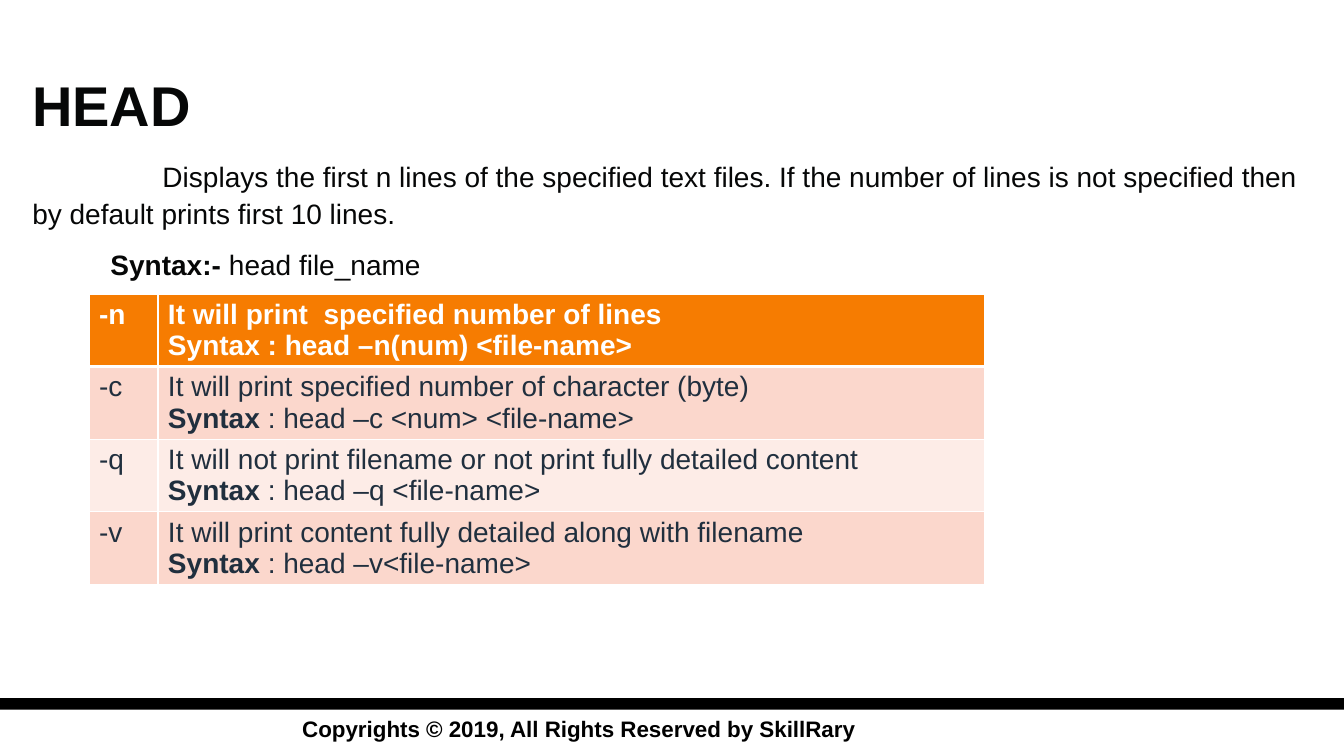
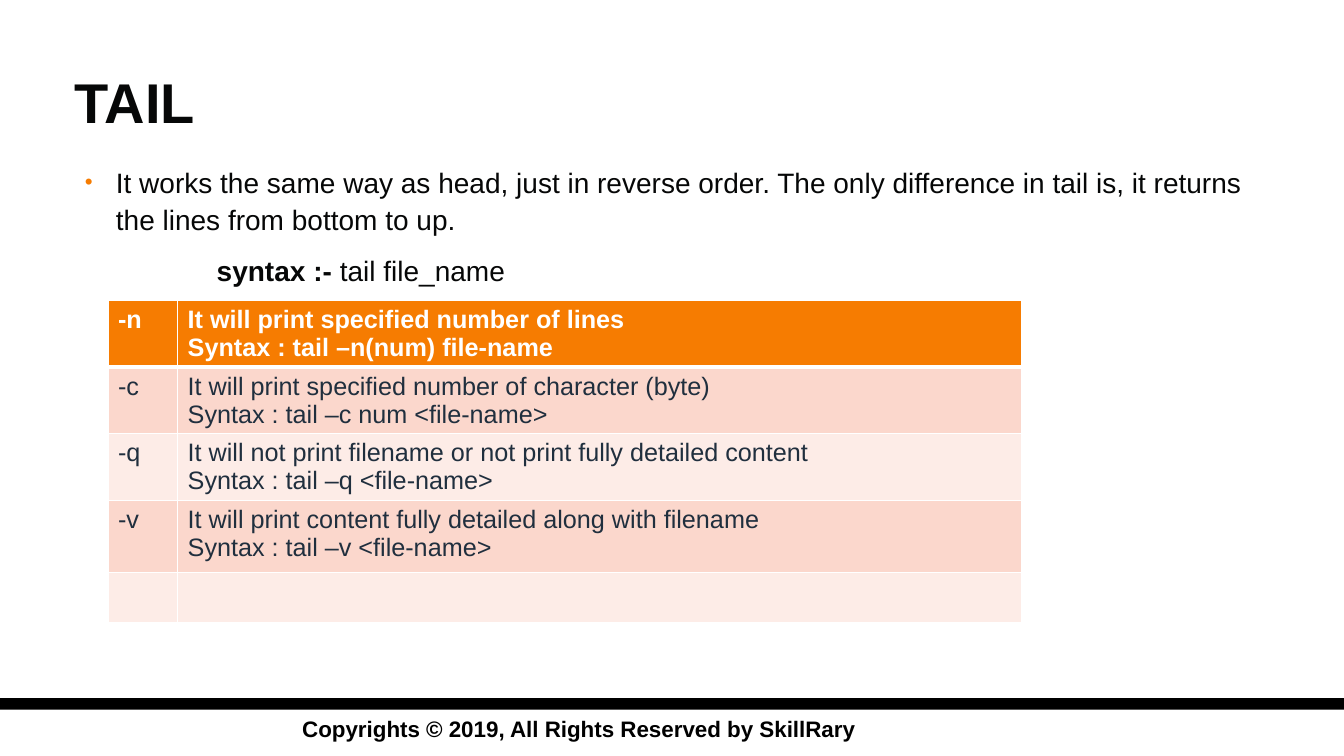
import pptx
import pptx.dml.color
import pptx.enum.shapes
import pptx.enum.text
import pptx.oxml
import pptx.oxml.ns
import pptx.util
import lxml.etree

RGBColor = pptx.dml.color.RGBColor
INK = RGBColor(0x06, 0x07, 0x07)
BLACK = RGBColor(0x00, 0x00, 0x00)
WHITE = RGBColor(0xFF, 0xFF, 0xFF)
ORANGE = RGBColor(0xF6, 0x7C, 0x01)
SLATE = RGBColor(0x20, 0x2F, 0x3E)
PEACH = RGBColor(0xFB, 0xD7, 0xCC)
BLUSH = RGBColor(0xFD, 0xEC, 0xE7)
FONT = "Arial"

presentation = pptx.Presentation()
presentation.slide_width = pptx.util.Inches(13.33)
presentation.slide_height = pptx.util.Inches(7.5)
COLUMN = presentation.slide_width / 160
ROW = presentation.slide_height / 90


def grid(left, top, columns, rows):
    return [int(n * unit) for n, unit in
            ((left, COLUMN), (top, ROW), (columns, COLUMN), (rows, ROW))]


def write(paragraph, lead, rest, size, color, bold=False):
    for text, strong in ((lead, True), (rest, False)):
        if text:
            run = paragraph.add_run()
            run.text = text
            if lead and rest:
                run.font.bold = strong
    font = paragraph.font
    font.name, font.size = FONT, pptx.util.Pt(size)
    font.color.rgb = color
    if not (lead and rest):
        font.bold = bold


commands = [
    {
        "title": "HEAD",
        "title_at": (2.64, 5.7, 142.6, 13.3),
        "summary": "Displays the first n lines of the specified text files. If the number "
                   "of lines is not specified then by default prints first 10 lines.",
        "summary_indent": (0, 15.5),
        "bulleted": False,
        "syntax": ("Syntax:- ", "head file_name"),
        "syntax_indent": 9.3,
        "body_at": (2.64, 18, 154.8, 15.5),
        "options_at": (10.6, 35),
        "option_columns": (8.2, 98.4),
        "option_rows": (8.63,) * 4,
        "size": 20,
        "options": [
            ("-n", ("", "It will print  specified number of lines"),
             ("", "Syntax : head –n(num) <file-name>")),
            ("-c", ("", "It will print specified number of character (byte)"),
             ("Syntax", " : head –c <num> <file-name>")),
            ("-q", ("", "It will not print filename or not print fully detailed content"),
             ("Syntax", " : head –q <file-name>")),
            ("-v", ("", "It will print content fully detailed along with filename"),
             ("Syntax", " : head –v<file-name>")),
        ],
    },
    {
        "title": "TAIL",
        "title_at": (7.7, 5.4, 142.6, 13.3),
        "summary": "It works the same way as head, just in reverse order. The only "
                   "difference in tail is, it returns the lines from bottom to up.",
        "summary_indent": (3.7, -3.7),
        "bulleted": True,
        "syntax": ("syntax :-", " tail file_name"),
        "syntax_indent": 15.7,
        "body_at": (8.9, 18.7, 142.2, 15.5),
        "options_at": (12.85, 35.8),
        "option_columns": (8.3, 100.5),
        "option_rows": (7.9, 7.9, 7.9, 8.6, 6),
        "size": 18,
        "options": [
            ("-n", ("", "It will print specified number of lines"),
             ("", "Syntax : tail –n(num) file-name")),
            ("-c", ("", "It will print specified number of character (byte)"),
             ("", "Syntax : tail –c num <file-name>")),
            ("-q", ("", "It will not print filename or not print fully detailed content"),
             ("", "Syntax : tail –q <file-name>")),
            ("-v", ("", "It will print content fully detailed along with filename"),
             ("", "Syntax : tail –v <file-name>")),
            ("",),
        ],
    },
]

layout = presentation.slide_layouts[1]
slides = [presentation.slides.add_slide(layout) for _ in commands]

copyright_line = slides[0].shapes.add_textbox(*grid(34.8, 84.5, 90.4, 4.4))
copyright_line.text_frame.word_wrap = True
write(copyright_line.text_frame.paragraphs[0], "",
      "Copyrights © 2019, All Rights Reserved by SkillRary", 16, BLACK, True)
footer_band = slides[0].shapes.add_shape(
    pptx.enum.shapes.MSO_SHAPE.RECTANGLE, *grid(0, 83.1, 160, 1.4))
footer_band.shadow.inherit = False
footer_band.fill.solid()
footer_band.fill.fore_color.rgb = BLACK
footer_band.line.fill.background()
for shared in (copyright_line, footer_band):
    layout.shapes.element.append(shared.element)

namespace = pptx.oxml.ns.nsdecls("a")
bullet = (f'<a:buClr {namespace}><a:srgbClr val="{ORANGE}"/></a:buClr>',
          f'<a:buSzPct {namespace} val="80000"/>',
          f'<a:buFont {namespace} typeface="{FONT}"/>',
          f'<a:buChar {namespace} char="•"/>')
no_bullet = (f'<a:buNone {namespace}/>',)

for slide, command in zip(slides, commands):
    title = slide.shapes.title
    title.left, title.top, title.width, title.height = grid(*command["title_at"])
    heading = title.text_frame.paragraphs[0]
    heading.alignment = pptx.enum.text.PP_ALIGN.LEFT
    write(heading, "", command["title"], 40, INK, True)

    body = slide.placeholders[1]
    body.left, body.top, body.width, body.height = grid(*command["body_at"])
    body.text_frame.auto_size = pptx.enum.text.MSO_AUTO_SIZE.NONE
    summary = body.text_frame.paragraphs[0]
    syntax = body.text_frame.add_paragraph()
    for paragraph, words, indents, marks, gap in (
            (summary, ("", command["summary"]), command["summary_indent"],
             bullet if command["bulleted"] else no_bullet, 0),
            (syntax, command["syntax"], (0, command["syntax_indent"]), no_bullet, 10)):
        properties = paragraph._p.get_or_add_pPr()
        for key, columns in zip(("marL", "indent"), indents):
            properties.set(key, str(int(columns * COLUMN)))
        for mark in marks:
            properties.append(pptx.oxml.parse_xml(mark))
        paragraph.line_spacing = 1.1
        paragraph.space_before = pptx.util.Pt(gap)
        write(paragraph, *words, 20, INK)

    widths, heights = command["option_columns"], command["option_rows"]
    options = slide.shapes.add_table(
        len(heights), len(widths),
        *grid(*command["options_at"], sum(widths), sum(heights))).table
    for column, width in zip(options.columns, widths):
        column.width = int(width * COLUMN)
    for index, (row, height, option) in enumerate(
            zip(options.rows, heights, command["options"])):
        row.height = int(height * ROW)
        flag, *description = option
        for cell, lines in zip(row.cells, ([("", flag)], description)):
            for side in ("lnL", "lnR", "lnT", "lnB"):
                heavy = (index, side) in ((0, "lnB"), (1, "lnT"))
                cell._tc.get_or_add_tcPr().append(pptx.oxml.parse_xml(
                    f'<a:{side} {namespace} w="{pptx.util.Pt(3 if heavy else 1)}">'
                    f'<a:solidFill><a:srgbClr val="{WHITE}"/></a:solidFill></a:{side}>'))
            cell.fill.solid()
            cell.fill.fore_color.rgb = ORANGE if index == 0 else (BLUSH, PEACH)[index % 2]
            for number, line in enumerate(lines):
                frame = cell.text_frame
                paragraph = frame.add_paragraph() if number else frame.paragraphs[0]
                write(paragraph, *line, command["size"],
                      SLATE if index else WHITE, index == 0)

presentation.save("out.pptx")
